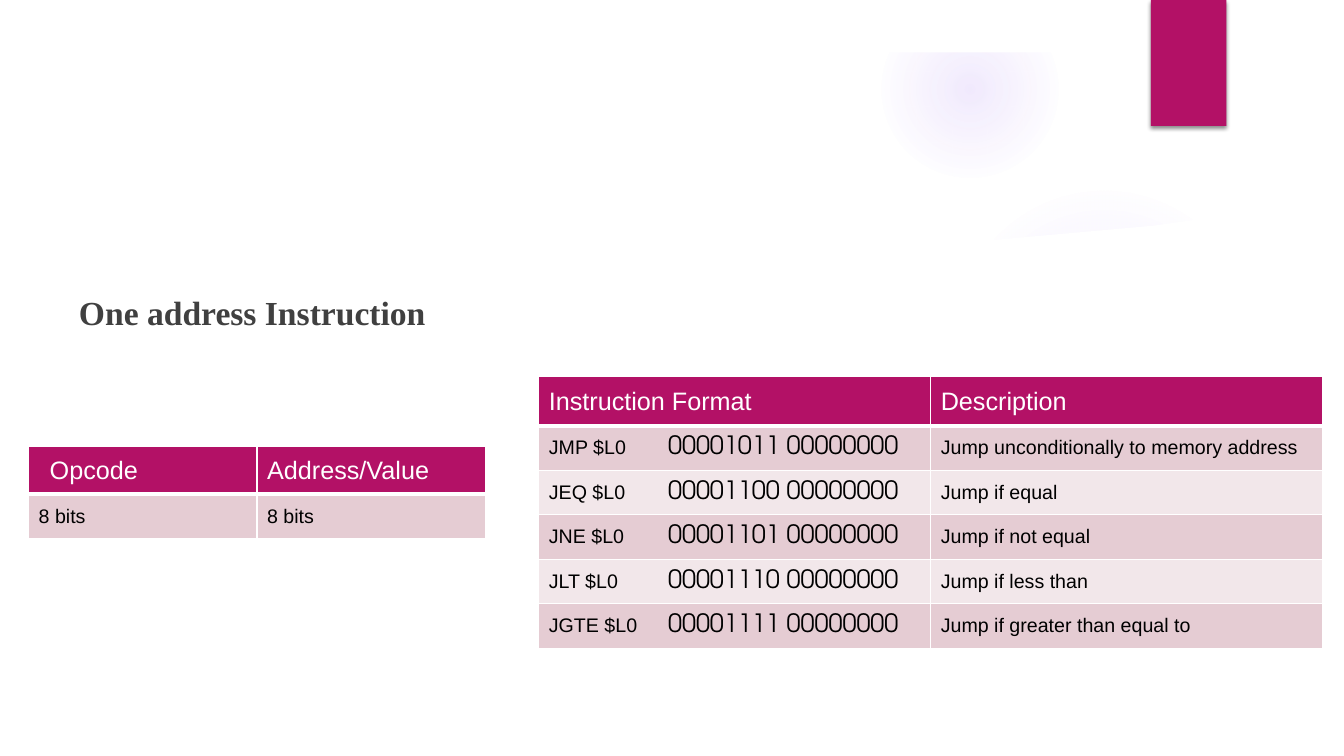
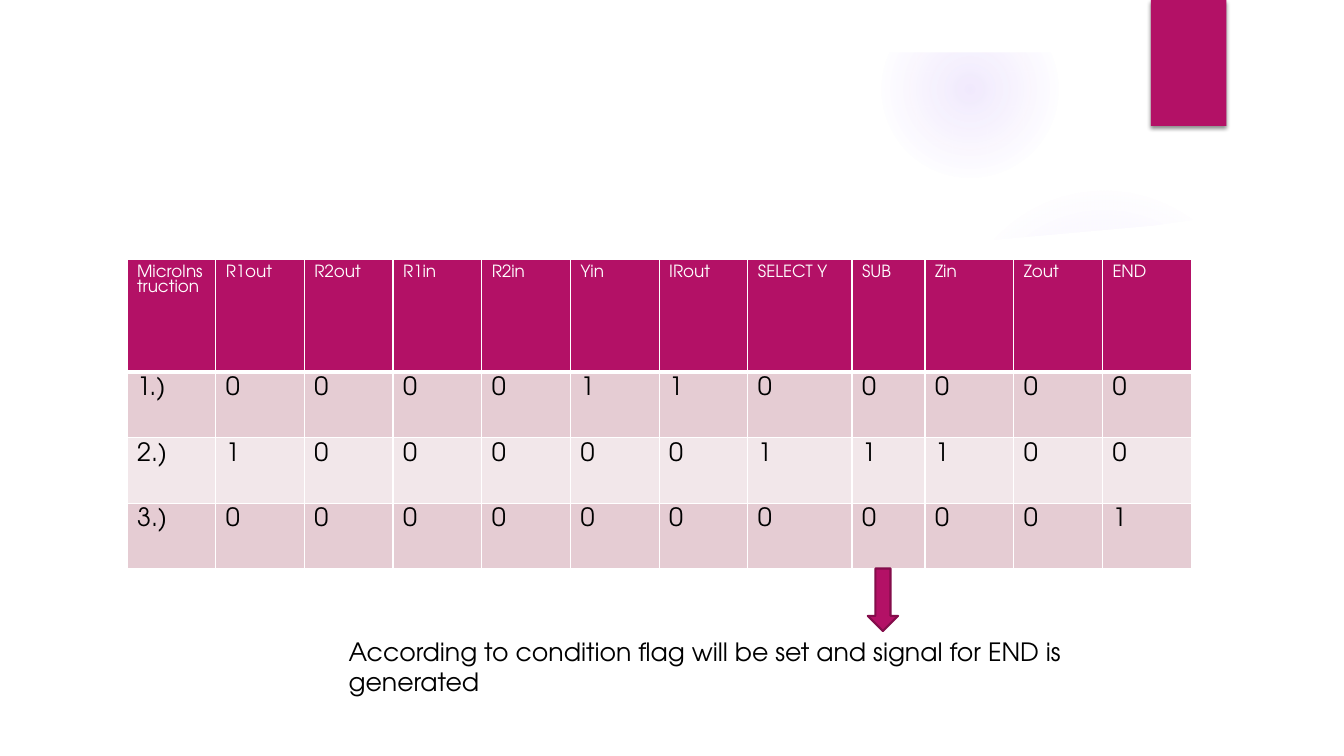
from lxml import etree
from pptx import Presentation
from pptx.dml.color import RGBColor
from pptx.enum.shapes import MSO_SHAPE
from pptx.enum.text import MSO_ANCHOR
from pptx.oxml import parse_xml
from pptx.oxml.ns import nsdecls, qn
from pptx.util import Emu, Inches, Pt

RECTANGLE, OVAL = MSO_SHAPE.RECTANGLE, MSO_SHAPE.OVAL
DOWN_ARROW = MSO_SHAPE.DOWN_ARROW
TOP, MIDDLE = MSO_ANCHOR.TOP, MSO_ANCHOR.MIDDLE

COLUMNS, ROWS = 80, 45
UNIT = Inches(1 / 6)
COLORS = {
    "accent": "B31166", "accent_dark": "840D4B", "glow": "9B6BF2",
    "band_odd": "E5CCD3", "band_even": "F2E7EA",
    "white": "FFFFFF", "black": "000000", "title": "404040",
}
SANS, GEOMETRIC, SERIF = "Arial", "TeX Gyre Adventor", "Times New Roman"


def grid(*units):
    """Turn grid units into lengths."""
    return [Emu(round(unit * UNIT)) for unit in units]


def rgb(name):
    return RGBColor.from_string(COLORS[name])


def write(paragraph, text, size=18, font=SANS, color="black", bold=False):
    run = paragraph.add_run()
    run.text = text
    run.font.size = Pt(size)
    run.font.name = font
    run.font.bold = bold
    run.font.color.rgb = rgb(color)


def set_tab_stop(paragraph, units):
    properties = paragraph._p.get_or_add_pPr()
    tabs = etree.SubElement(properties, qn("a:tabLst"))
    etree.SubElement(tabs, qn("a:tab"), pos=str(grid(units)[0]), algn="l")


def set_borders(cell, **widths):
    """Draw white cell borders; widths are points keyed by L, R, T, B."""
    properties = cell._tc.get_or_add_tcPr()
    for index, (side, width) in enumerate(widths.items()):
        properties.insert(index, parse_xml(
            f'<a:ln{side} {nsdecls("a")} w="{Pt(width)}"><a:solidFill>'
            f'<a:srgbClr val="{COLORS["white"]}"/></a:solidFill></a:ln{side}>'))


class Deck:
    def __init__(self):
        self.presentation = Presentation()
        self.presentation.slide_width, self.presentation.slide_height = grid(COLUMNS, ROWS)
        self.layout = self.presentation.slide_layouts[1]
        self.slide = None

    def new_slide(self):
        first = self.slide is None
        self.slide = self.presentation.slides.add_slide(self.layout)
        if first:
            self.decorate_layout()

    def decorate_layout(self):
        """Draw the shared background and move it to the layout."""
        background = [
            self.glow(56.46, 11, 18.5, ((0, 7), (36, 6), (69, 0))),
            self.glow(52.5, 0.06, 10.5, ((0, 14), (36, 7), (73, 0))),
            self.panel((3, 12.24), (12.96, 13.44), (24.06, 14.28), (40.92, 14.88),
                       (58.56, 14.34), (68.64, 13.44), (77.04, 12.24),
                       (77.04, 42), (3, 42)),
            self.shape(RECTANGLE, 0, 0, COLUMNS, 3.12, "white"),
            self.accent_tab(68.5, 0, 4.5, 7.5),
        ]
        for number, shape in enumerate(background, start=100):
            next(shape.element.iter(qn("p:cNvPr"))).set("id", str(number))
            self.layout.shapes.element.append(shape.element)

    def paint(self, shape, fill, line=None):
        shape.shadow.inherit = False
        shape.fill.solid()
        shape.fill.fore_color.rgb = rgb(fill)
        if line:
            shape.line.color.rgb = rgb(line)
            shape.line.width = Pt(1.5)
        else:
            shape.line.fill.background()
        return shape

    def shape(self, kind, left, top, width, height, fill, line=None):
        box = grid(left, top, width, height)
        return self.paint(self.slide.shapes.add_shape(kind, *box), fill, line)

    def panel(self, *points):
        start, *others = [grid(*point) for point in points]
        builder = self.slide.shapes.build_freeform(*start)
        builder.add_line_segments(others)
        return self.paint(builder.convert_to_shape(), "white")

    def glow(self, left, top, size, stops):
        """Draw a circle fading outwards; stops pair position and opacity in percent."""
        shape = self.shape(OVAL, left, top, size, size, "glow")
        marks = "".join(
            f'<a:gs pos="{position * 1000}"><a:srgbClr val="{COLORS["glow"]}">'
            f'<a:alpha val="{opacity * 1000}"/></a:srgbClr></a:gs>'
            for position, opacity in stops)
        properties = shape.element.spPr
        properties.replace(properties.find(qn("a:solidFill")), parse_xml(
            f'<a:gradFill {nsdecls("a")}><a:gsLst>{marks}</a:gsLst><a:path path="circle">'
            '<a:fillToRect l="50000" t="50000" r="50000" b="50000"/></a:path></a:gradFill>'))
        return shape

    def accent_tab(self, *box):
        shape = self.shape(RECTANGLE, *box, "accent")
        shape.element.spPr.find(qn("a:effectLst")).append(parse_xml(
            f'<a:outerShdw {nsdecls("a")} blurRad="{Pt(3)}" dist="{Pt(2)}" dir="5400000">'
            f'<a:srgbClr val="{COLORS["black"]}"><a:alpha val="45000"/></a:srgbClr>'
            '</a:outerShdw>'))
        return shape

    def body(self, text, left, top, width, height):
        shape = self.slide.placeholders[1]
        shape.left, shape.top, shape.width, shape.height = grid(left, top, width, height)
        shape.text_frame.vertical_anchor = TOP
        paragraph = shape.text_frame.paragraphs[0]
        paragraph.space_before = Pt(0)
        properties = paragraph._p.get_or_add_pPr()
        properties.set("marL", "0")
        properties.set("indent", "0")
        etree.SubElement(properties, qn("a:buNone"))
        write(paragraph, text, size=24, font=SERIF, color="title", bold=True)

    def table(self, left, top, widths, heights, rows, header, entry,
              code=None, tab=7.1, anchor=TOP, inset=0.05):
        """Add a banded table; text after a tab in a cell takes the code format."""
        box = grid(left, top, sum(widths), sum(heights))
        table = self.slide.shapes.add_table(len(rows), len(widths), *box).table
        for column, width in zip(table.columns, grid(*widths)):
            column.width = width
        for row, height in zip(table.rows, grid(*heights)):
            row.height = height
        for row_index, texts in enumerate(rows):
            fill = "band_odd" if row_index % 2 else "band_even"
            for column_index, text in enumerate(texts):
                cell = table.cell(row_index, column_index)
                cell.fill.solid()
                cell.fill.fore_color.rgb = rgb(fill if row_index else "accent")
                set_borders(cell, L=1, R=1, T=3 if row_index == 1 else 1,
                            B=1 if row_index else 3)
                cell.vertical_anchor = anchor
                cell.margin_top = cell.margin_bottom = Inches(inset)
                paragraph = cell.text_frame.paragraphs[0]
                label, separator, bits = text.partition("\t")
                if separator:
                    set_tab_stop(paragraph, tab)
                write(paragraph, label + separator, **(entry if row_index else header))
                if bits:
                    write(paragraph, bits, **code)
        return table

    def caption(self, text, *box):
        frame = self.slide.shapes.add_textbox(*grid(*box)).text_frame
        frame.word_wrap = True
        write(frame.paragraphs[0], text, font=GEOMETRIC)

    def remove_empty_placeholders(self):
        for shape in list(self.slide.placeholders):
            if not shape.text_frame.text:
                shape.element.getparent().remove(shape.element)


def instruction_slide(deck):
    deck.new_slide()
    deck.body("One address Instruction", 4.1, 17.1, 57.9, 22.44)
    style = {"header": {"color": "white"}, "entry": {"size": 14},
             "code": {"font": GEOMETRIC}, "anchor": MIDDLE, "inset": 0.07}
    fields = deck.table(1.7, 26.57, [13.6] * 2, [2.85, 2.65],
                        [("Opcode", "Address/Value"), ("8 bits", "8 bits")], **style)
    fields.cell(0, 0).margin_left = Inches(0.21)
    jumps = [
        ("Instruction Format", "Description"),
        ("JMP $L0\t00001011 00000000", "Jump unconditionally to memory address"),
        ("JEQ $L0\t00001100 00000000", "Jump if equal"),
        ("JNE $L0\t00001101 00000000", "Jump if not equal"),
        ("JLT $L0\t00001110 00000000", "Jump if less than"),
        ("JGTE $L0\t00001111 00000000", "Jump if greater than equal to"),
    ]
    deck.table(32.07, 22.42, [23.33] * 2, [2.93] + [2.65] * 5, jumps, **style)
    deck.remove_empty_placeholders()


def signal_slide(deck):
    deck.new_slide()
    signals = ["MicroInstruction", "R1out", "R2out", "R1in", "R2in", "Yin", "IRout",
               "SELECT Y", "SUB", "Zin", "Zout", "END"]
    steps = ["00001100000", "10000011100", "00000000001"]
    rows = [signals] + [[f"{number}.)", *bits] for number, bits in enumerate(steps, start=1)]
    widths = [5.28] * 7 + [6.2, 4.35] + [5.28] * 3
    deck.table(7.56, 15.45, widths, [6.7] + [3.9] * 3, rows,
               header={"size": 12, "font": GEOMETRIC, "color": "white"},
               entry={"font": GEOMETRIC})
    deck.shape(DOWN_ARROW, 51.66, 33.84, 1.8, 3.72, "accent", "accent_dark")
    deck.caption("According to condition flag will be set and signal for END is generated",
                 20.16, 37.56, 47.28, 4.26)
    deck.remove_empty_placeholders()


def main():
    deck = Deck()
    instruction_slide(deck)
    signal_slide(deck)
    deck.presentation.save("out.pptx")


if __name__ == "__main__":
    main()
